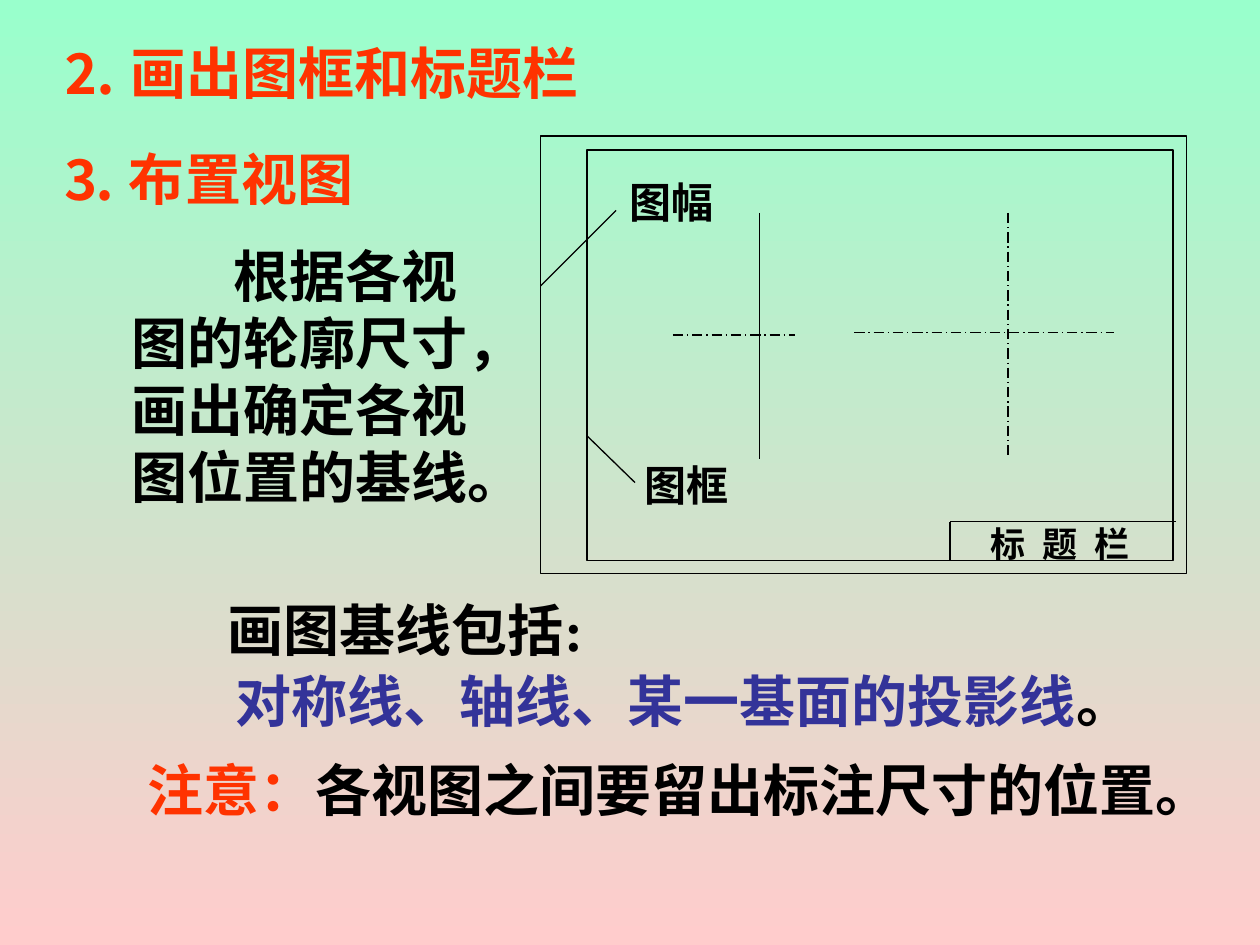
from pptx import Presentation, util as u
from pptx.dml.color import RGBColor
from pptx.enum import dml, shapes, text
from pptx.oxml.ns import qn

W, H = 10, 7.5
FONT = "Times New Roman"
RED, BLACK, BLUE = "FF3300", "000000", "333399"
BACKGROUND = ["99FFCC", "FFCCCC"]
LEFT, CENTER = text.PP_ALIGN.LEFT, text.PP_ALIGN.CENTER

# Content: box in inches, then runs of (text, colour)
HEADING = (0.39, 0.25, 4.33, 0.64), [("⒉ 画出图框和标题栏", RED)]
BODY = (0.94, 1.86, 2.91, 2.24), [("根据各视图的轮廓尺寸，画出确定各视图位置的基线。", BLACK)]
BODY_INDENT = 0.81
NOTES = [  # box, runs, size, alignment, wrap
    ((0.38, 1.09, 3.15, 0.64), [("⒊ 布置视图", RED)], 32, LEFT, True),
    ((1.71, 4.67, 3.72, 0.64), [("画图基线包括:", BLACK)], 32, LEFT, True),
    ((1.77, 5.24, 7.32, 0.64),
     [("对称线、轴线、某一基面的投影线", BLUE), ("。", BLACK)], 32, CENTER, False),
    ((1.07, 5.94, 8.65, 0.64),
     [("注意：", RED), ("各视图之间要留出标注尺寸的位置。", BLACK)], 32, LEFT, False),
    ((5.02, 3.6, 0.86, 0.5), [("图框", BLACK)], 24, CENTER, False),
    ((4.9, 1.35, 0.86, 0.5), [("图幅", BLACK)], 24, CENTER, False),
]
TITLE_BLOCK = (7.77, 4.09, 1.29, 0.44), [("标 题 栏", BLACK)], 20, CENTER, False

# Drawing: sheet edge, inner frame, lines as (x1, y1, x2, y2)
SHEET = (4.29, 1.08, 5.13, 3.47)
FRAME = (4.66, 1.19, 4.65, 3.26)
CENTRE_LINES = [(6.78, 2.64, 8.84, 2.64), (5.34, 2.66, 6.31, 2.66), (8, 1.69, 8, 3.63)]
BLOCK_X, BLOCK_Y = 7.54, 4.14
SOLID_LINES = [
    (6.03, 1.69, 6.03, 3.64),
    (BLOCK_X, BLOCK_Y, BLOCK_X, FRAME[1] + FRAME[3]),
    (BLOCK_X, BLOCK_Y, 9.33, BLOCK_Y),
    (FRAME[0], 3.46, 5.04, 3.83),
    (SHEET[0], 2.27, 4.89, 1.67),
]


def color(value):
    return RGBColor.from_string(value)


def inches(values):
    return [u.Inches(v) for v in values]


def write(sp, box, runs, size=32, align=LEFT, wrap=True):
    sp.left, sp.top, sp.width, sp.height = inches(box)
    tf = sp.text_frame
    tf.auto_size = text.MSO_AUTO_SIZE.NONE
    tf.word_wrap = wrap
    tf.vertical_anchor = text.MSO_ANCHOR.MIDDLE
    p = tf.paragraphs[0]
    p.alignment = align
    p.space_before = u.Pt(0)
    for words, tone in runs:
        r = p.add_run()
        r.text = words
        r.font.name, r.font.size, r.font.bold = FONT, u.Pt(size), True
        r.font.color.rgb = color(tone)
    return p


def outline(line):
    line.color.rgb = color(BLACK)
    line.width = u.Pt(0.75)


def add_line(s, ends, dash=None):
    cx = s.shapes.add_connector(shapes.MSO_CONNECTOR.STRAIGHT, *inches(ends))
    outline(cx.line)
    if dash:
        cx.line.dash_style = dash
    sp_pr = cx._element.spPr
    sp_pr.append(sp_pr.makeelement(qn("a:effectLst"), {}))


def main():
    prs = Presentation()
    prs.slide_width, prs.slide_height = inches((W, H))
    s = prs.slides.add_slide(prs.slide_layouts[1])

    # Background gradient, top to bottom
    fill = s.background.fill
    fill.gradient()
    fill.gradient_angle = 270
    for stop, tone in zip(fill.gradient_stops, BACKGROUND):
        stop.color.rgb = color(tone)

    # Heading and indented body paragraph
    write(s.shapes.title, *HEADING)
    p = write(s.placeholders[1], *BODY)
    p_pr = p._p.get_or_add_pPr()
    p_pr.set("marL", "0")
    p_pr.set("indent", str(u.Inches(BODY_INDENT)))
    p_pr.append(p_pr.makeelement(qn("a:buNone"), {}))

    # Drawing sheet with its base lines and leaders
    for box in (SHEET, FRAME):
        sp = s.shapes.add_shape(shapes.MSO_SHAPE.RECTANGLE, *inches(box))
        sp.shadow.inherit = False
        sp.fill.background()
        outline(sp.line)
    for ends in CENTRE_LINES:
        add_line(s, ends, dml.MSO_LINE.LONG_DASH_DOT)
    for ends in SOLID_LINES:
        add_line(s, ends)

    # Remaining text and labels
    for box, *rest in NOTES:
        write(s.shapes.add_textbox(*inches(box)), box, *rest)
    box, *rest = TITLE_BLOCK
    p = write(s.shapes.add_textbox(*inches(box)), box, *rest)
    p.runs[0].font._element.set("spc", "250")  # letter spacing, 2.5 pt

    prs.save("out.pptx")


if __name__ == "__main__":
    main()
